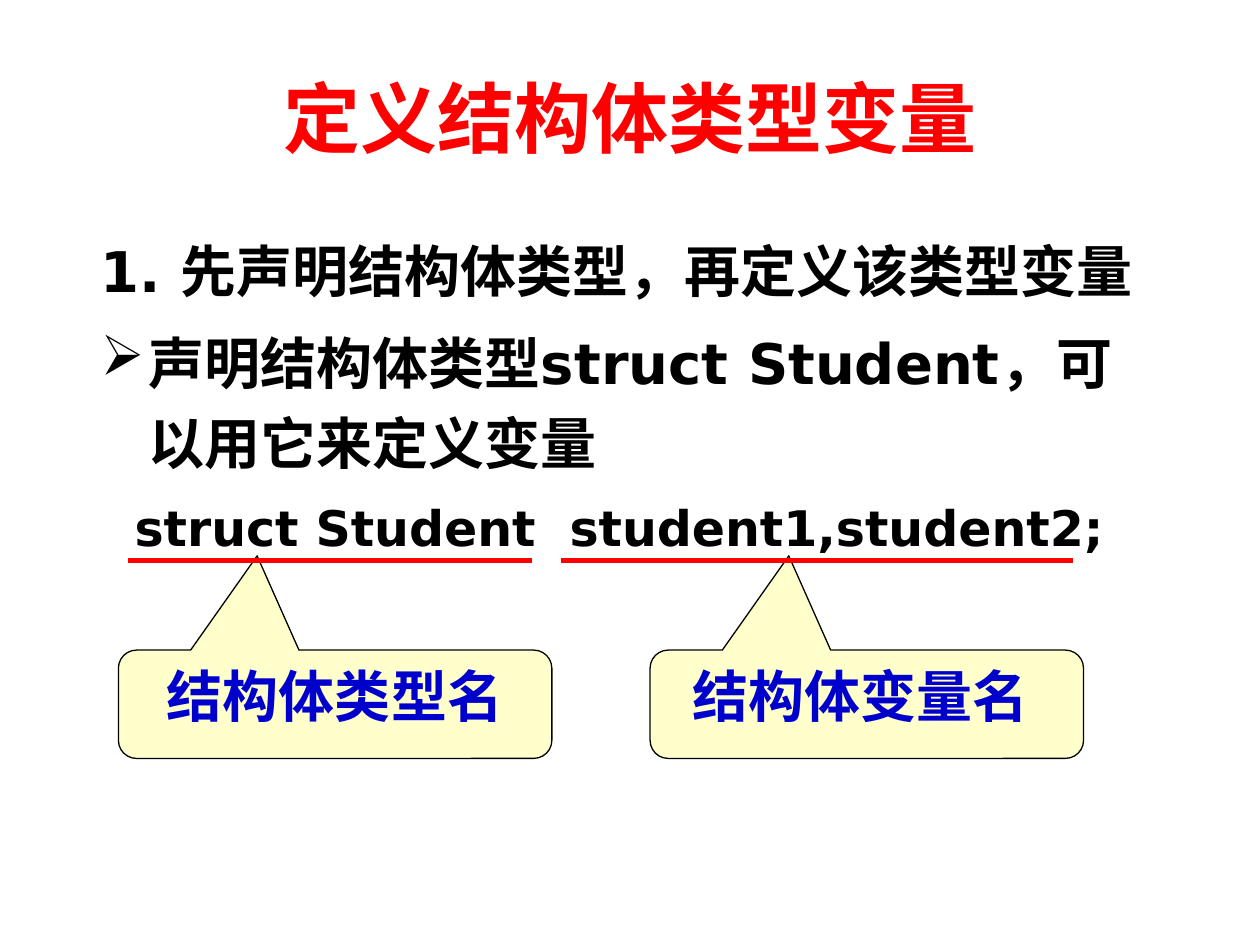
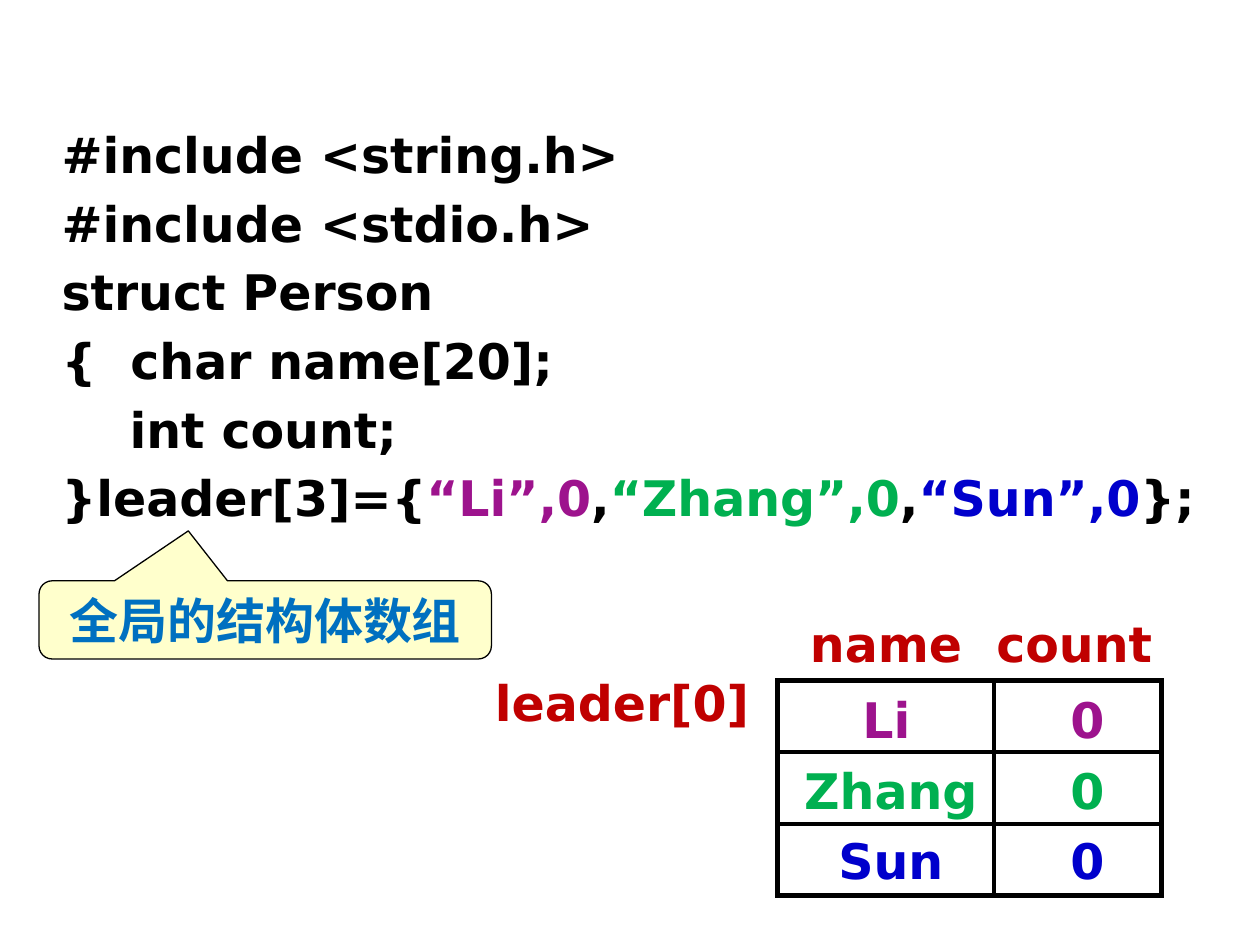
"""Build two slides on defining C structure variables and structure arrays."""
from dataclasses import dataclass
from typing import NamedTuple

from lxml.etree import SubElement
from pptx import Presentation
from pptx.dml.color import RGBColor
from pptx.enum.shapes import MSO_CONNECTOR, MSO_SHAPE
from pptx.enum.text import MSO_ANCHOR, MSO_AUTO_SIZE, PP_ALIGN
from pptx.oxml.ns import qn
from pptx.slide import Slide
from pptx.text.text import TextFrame
from pptx.util import Pt

PX = 9144
CODE_FONT = "DejaVu Sans"
LARGE, NORMAL = 32, 28
HANGING = 38
COLORS = {
    "title": "FF0000",
    "ink": "000000",
    "paper": "FFFFFF",
    "callout": "FFFFCC",
    "label": "C00000",
    "note": "0070C0",
    "li": "9D138D",
    "zhang": "00B050",
    "sun": "0000CC",
}


class Box(NamedTuple):
    """A rectangle in px."""

    left: int
    top: int
    width: int
    height: int

    def emu(self) -> list[int]:
        """Return the rectangle in EMU."""
        return [length * PX for length in self]


class Span(NamedTuple):
    """A stretch of text with one colour and optional letter spacing in points."""

    text: str
    color: str = "ink"
    tracking: float = 0


@dataclass(frozen=True)
class Line:
    """One paragraph of spans with its indents in px."""

    spans: tuple[Span, ...]
    size: int = NORMAL
    margin: int = HANGING
    indent: int = -HANGING
    bullet: str = ""


@dataclass(frozen=True)
class Callout:
    """A speech bubble whose tip is given as a share of its size."""

    box: Box
    text: str
    tip: tuple[float, float]
    color: str
    size: int = LARGE
    font: str = CODE_FONT


@dataclass(frozen=True)
class Member:
    """One element of the leader array, with the top of its row text."""

    name: str
    count: str
    color: str
    top: int
    name_left: int = 625
    name_width: int = 164


WIDE_SPACE = Span(" ", tracking=9.74)
TYPE_CALLOUT = Callout(Box(94, 516, 344, 86), "结构体类型名", (-0.18, -1.37), "sun")
VARIABLE_CALLOUT = Callout(Box(516, 516, 344, 86), "结构体变量名 ", (-0.18, -1.37), "sun")
ARRAY_CALLOUT = Callout(
    Box(31, 461, 359, 62), "全局的结构体数组", (-0.17, -1.14), "note", NORMAL, "Arial"
)
DEFINITION = (
    Line((Span("1. 先声明结构体类型，再定义该类型变量"),), LARGE),
    Line((Span("声明结构体类型struct Student，可以用它来定义变量"),), LARGE, bullet="➢"),
    Line((Span("struct Student"), WIDE_SPACE, Span("student1,student2;")), margin=27, indent=0),
)
PROGRAM = (
    Line((Span("#include <string.h>"),)),
    Line((Span("#include <stdio.h>"),)),
    Line((Span("struct Person"),)),
    Line((Span("{"), WIDE_SPACE, Span("char name[20];"))),
    Line((Span("int count;"),), margin=54, indent=0),
    Line((
        Span("}leader[3]={"),
        Span("“Li”,0", "li"),
        Span(","),
        Span("“Zhang”,0", "zhang"),
        Span(","),
        Span("“Sun”,0", "sun"),
        Span("};"),
    )),
)
MEMBERS = (
    Member("Li", "0", "li", 542, 633, 141),
    Member("Zhang", "0", "zhang", 599),
    Member("Sun", "0", "sun", 654),
)
HEADINGS = (
    ("name", Box(633, 482, 156, 57)),
    ("count", Box(781, 482, 156, 57)),
    ("leader[0]", Box(383, 529, 250, 57)),
)


def rgb(color: str) -> RGBColor:
    """Look a colour up by its role."""
    return RGBColor.from_string(COLORS[color])


def style_text(frame: TextFrame, size: int, color: str, font: str = CODE_FONT) -> None:
    """Make every run of a frame bold in one font, size and colour."""
    for paragraph in frame.paragraphs:
        for run in paragraph.runs:
            run.font.name, run.font.size, run.font.bold = font, Pt(size), True
            run.font.color.rgb = rgb(color)


def add_label(
    slide: Slide,
    box: Box,
    text: str,
    color: str,
    size: int = NORMAL,
    font: str = CODE_FONT,
    align: PP_ALIGN = PP_ALIGN.CENTER,
) -> TextFrame:
    """Add a single line of bold text and return its frame."""
    frame = slide.shapes.add_textbox(*box.emu()).text_frame
    frame.word_wrap = True
    frame.text = text
    frame.paragraphs[0].alignment = align
    style_text(frame, size, color, font)
    return frame


def add_lines(slide: Slide, box: Box, lines: tuple[Line, ...], spacing: float) -> None:
    """Add a block of indented paragraphs with coloured spans."""
    frame = slide.shapes.add_textbox(*box.emu()).text_frame
    frame.word_wrap = True
    frame.text = "\n".join(line.spans[0].text for line in lines)
    for line, paragraph in zip(lines, frame.paragraphs):
        paragraph.line_spacing = spacing
        properties = paragraph._p.get_or_add_pPr()
        properties.set("marL", str(line.margin * PX))
        properties.set("indent", str(line.indent * PX))
        before = SubElement(properties, qn("a:spcBef"))
        SubElement(before, qn("a:spcPct")).set("val", "20000")
        if line.bullet:
            SubElement(properties, qn("a:buChar")).set("char", line.bullet)
        for span in line.spans[1:]:
            paragraph.add_run().text = span.text
        for span, run in zip(line.spans, paragraph.runs):
            run.font.name, run.font.size, run.font.bold = CODE_FONT, Pt(line.size), True
            run.font.color.rgb = rgb(span.color)
            if span.tracking:
                run._r.get_or_add_rPr().set("spc", str(round(span.tracking * 100)))


def add_callout(slide: Slide, callout: Callout) -> None:
    """Add a rounded speech bubble with its text at the top."""
    bubble = slide.shapes.add_shape(MSO_SHAPE.ROUNDED_RECTANGULAR_CALLOUT, *callout.box.emu())
    bubble.shadow.inherit = False
    bubble.adjustments[0], bubble.adjustments[1] = callout.tip
    bubble.fill.solid()
    bubble.fill.fore_color.rgb = rgb("callout")
    bubble.line.color.rgb = rgb("ink")
    bubble.line.width = Pt(0.75)
    frame = bubble.text_frame
    frame.word_wrap = False
    frame.vertical_anchor = MSO_ANCHOR.TOP
    frame.text = callout.text
    frame.paragraphs[0].alignment = PP_ALIGN.CENTER
    style_text(frame, callout.size, callout.color, callout.font)


def add_underline(slide: Slide, start: int, end: int, y: int) -> None:
    """Underline a part of the statement in red."""
    underline = slide.shapes.add_connector(
        MSO_CONNECTOR.STRAIGHT, start * PX, y * PX, end * PX, y * PX
    )
    underline.line.color.rgb = rgb("title")
    underline.line.width = Pt(3)
    SubElement(underline._element.spPr, qn("a:effectLst"))


def add_grid(slide: Slide, box: Box, widths: tuple[int, ...], rows: int) -> None:
    """Add the white table with thick black borders."""
    grid = slide.shapes.add_table(rows, len(widths), *box.emu()).table
    grid.first_row = grid.horz_banding = False
    for column, width in zip(grid.columns, widths):
        column.width = width * PX
    for cell in grid.iter_cells():
        properties = cell._tc.get_or_add_tcPr()
        for side in ("lnL", "lnR", "lnT", "lnB"):
            border = SubElement(properties, qn(f"a:{side}"), w=str(Pt(3)))
            ink = SubElement(border, qn("a:solidFill"))
            SubElement(ink, qn("a:srgbClr")).set("val", COLORS["ink"])
        cell.fill.solid()
        cell.fill.fore_color.rgb = rgb("paper")


def build_definition(slide: Slide) -> None:
    """Show how variables of a structure type are defined."""
    title = add_label(
        slide, Box(50, 30, 900, 125), "定义结构体类型变量", "title", 44, "Calibri"
    )
    title.vertical_anchor = MSO_ANCHOR.MIDDLE
    add_lines(slide, Box(70, 172, 859, 367), DEFINITION, 1.2)
    for callout in (TYPE_CALLOUT, VARIABLE_CALLOUT):
        add_callout(slide, callout)
    for start, end in ((102, 422), (445, 852)):
        add_underline(slide, start, end, 445)


def build_array(slide: Slide) -> None:
    """Show the program with its initialised structure array."""
    add_lines(slide, Box(39, 94, 922, 469), PROGRAM, 1.0)
    add_callout(slide, ARRAY_CALLOUT)
    add_grid(slide, Box(617, 540, 305, 171), (172, 133), len(MEMBERS))
    labels = [
        add_label(slide, box, text, "label", align=PP_ALIGN.LEFT) for text, box in HEADINGS
    ]
    for member in MEMBERS:
        name_box = Box(member.name_left, member.top, member.name_width, 57)
        count_box = Box(828, member.top, 70, 57)
        labels.append(add_label(slide, name_box, member.name, member.color))
        labels.append(add_label(slide, count_box, member.count, member.color))
    for label in labels:
        label.auto_size = MSO_AUTO_SIZE.SHAPE_TO_FIT_TEXT


def main() -> None:
    """Build and save the presentation."""
    presentation = Presentation()
    presentation.slide_width, presentation.slide_height = 1000 * PX, 750 * PX
    for build in (build_definition, build_array):
        build(presentation.slides.add_slide(presentation.slide_layouts[6]))
    presentation.save("out.pptx")


if __name__ == "__main__":
    main()
